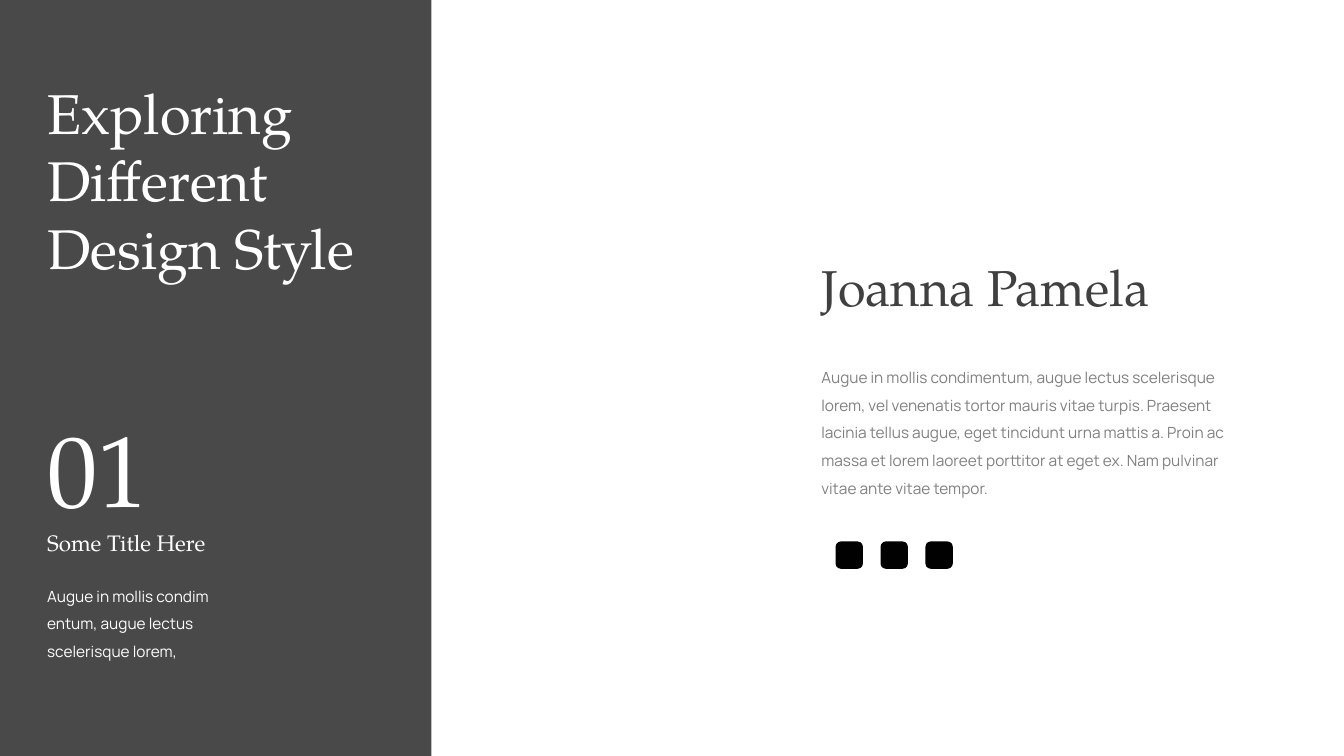
from dataclasses import dataclass

from lxml import etree
from pptx import Presentation
from pptx.dml.color import RGBColor
from pptx.enum import shapes, text
from pptx.oxml import ns
from pptx.util import Pt

WHITE = RGBColor(0xFF, 0xFF, 0xFF)
CHARCOAL = RGBColor(0x40, 0x40, 0x40)
GRAY = RGBColor(0x80, 0x80, 0x80)
BLACK = RGBColor(0x01, 0x01, 0x01)
SERIF = "TeX Gyre Pagella"
SANS = "Manrope"


@dataclass
class Label:
    text: str
    left: float
    top: float
    width: float
    height: float
    size: float
    font: str
    color: RGBColor
    spacing: float = 1.0


TITLE = Label("Exploring Different Design Style", 26.6, 52.6, 254.9, 152.6, 40, SERIF, WHITE)
LABELS = [
    Label("Augue in mollis condim\nentum, augue lectus scelerisque lorem,",
          26.6, 409, 172.8, 67, 11, SANS, WHITE, 1.5),
    Label("01", 26.6, 287.3, 120.2, 94.3, 72, SERIF, WHITE),
    Label("Some Title Here", 26.6, 365, 172.8, 32.4, 16, SERIF, WHITE, 1.5),
    Label("Augue in mollis condimentum, augue lectus scelerisque lorem, vel venenatis "
          "tortor mauris vitae turpis. Praesent lacinia tellus augue, eget tincidunt urna "
          "mattis a. Proin ac massa et lorem laoreet porttitor at eget ex. Nam pulvinar "
          "vitae ante vitae tempor.",
          579.6, 252.7, 324, 107.3, 11, SANS, GRAY, 1.5),
    Label("Joanna Pamela", 579.6, 179.3, 333.4, 51.1, 36, SERIF, CHARCOAL),
]
ICON_COUNT, ICON_LEFT, ICON_TOP, ICON_SIZE, ICON_STEP = 3, 596.9, 386.8, 19.5, 32.1


def add_block(s, kind: shapes.MSO_SHAPE, left: float, top: float,
              width: float, height: float, color: RGBColor):
    sp = s.shapes.add_shape(kind, Pt(left), Pt(top), Pt(width), Pt(height))
    sp.shadow.inherit = False
    sp.fill.solid()
    sp.fill.fore_color.rgb = color
    sp.line.fill.background()
    return sp


def write_label(sp, label: Label) -> None:
    sp.left, sp.top = Pt(label.left), Pt(label.top)
    sp.width, sp.height = Pt(label.width), Pt(label.height)
    tf = sp.text_frame
    tf.text = label.text
    tf.word_wrap = True
    tf.auto_size = text.MSO_AUTO_SIZE.SHAPE_TO_FIT_TEXT
    tf.vertical_anchor = text.MSO_ANCHOR.TOP
    for p in tf.paragraphs:
        p.alignment = text.PP_ALIGN.LEFT
        p.line_spacing = label.spacing
        for r in p.runs:
            r.font.size = Pt(label.size)
            r.font.name = label.font
            r.font.color.rgb = label.color


def main() -> None:
    prs = Presentation()
    prs.slide_width, prs.slide_height = Pt(960), Pt(540)
    s = prs.slides.add_slide(prs.slide_layouts[5])

    panel = add_block(s, shapes.MSO_SHAPE.RECTANGLE, 0, 0, 308.2, 540, CHARCOAL)
    color = panel.element.find(".//" + ns.qn("a:srgbClr"))
    etree.SubElement(color, ns.qn("a:alpha"), val="95000")
    s.shapes.title.element.addprevious(panel.element)

    write_label(s.shapes.title, TITLE)
    for label in LABELS:
        write_label(s.shapes.add_textbox(0, 0, 0, 0), label)

    for i in range(ICON_COUNT):
        icon = add_block(s, shapes.MSO_SHAPE.ROUNDED_RECTANGLE, ICON_LEFT + i * ICON_STEP,
                         ICON_TOP, ICON_SIZE, ICON_SIZE, BLACK)
        icon.adjustments[0] = 0.19

    prs.save("out.pptx")


if __name__ == "__main__":
    main()
